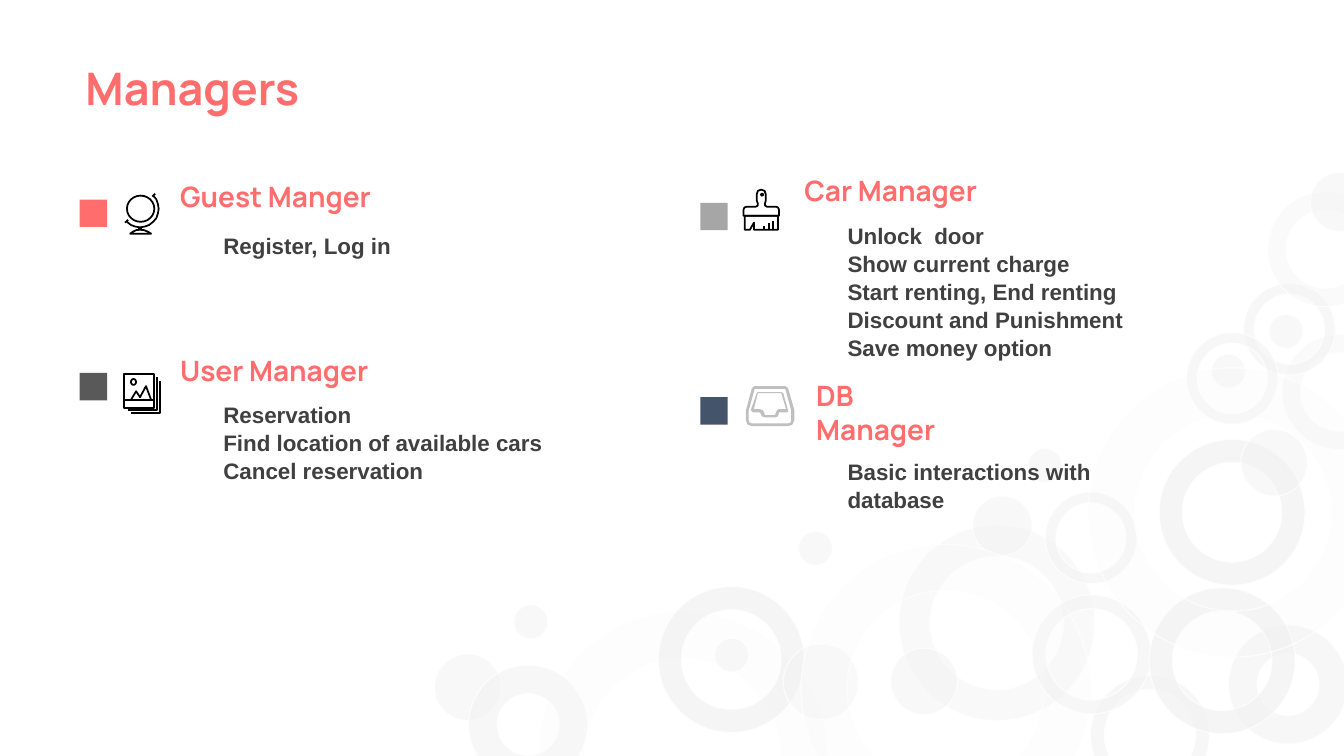
from dataclasses import dataclass
from math import cos, radians, sin

from lxml.etree import SubElement
from pptx import Presentation
from pptx.dml.color import RGBColor
from pptx.enum.shapes import MSO_CONNECTOR as Connector, MSO_SHAPE as Preset
from pptx.enum.text import MSO_ANCHOR as Anchor, MSO_AUTO_SIZE as AutoSize, PP_ALIGN as Align
from pptx.oxml.ns import qn
from pptx.util import Cm, Pt


@dataclass(frozen=True)
class Theme:
    coral: RGBColor = RGBColor.from_string("FF6D6D")
    slate: RGBColor = RGBColor.from_string("595959")
    silver: RGBColor = RGBColor.from_string("A6A6A6")
    navy: RGBColor = RGBColor.from_string("44546A")
    text: RGBColor = RGBColor.from_string("404040")
    tray: RGBColor = RGBColor.from_string("BFBFBF")
    bubble: RGBColor = RGBColor.from_string("F2F2F2")
    white: RGBColor = RGBColor.from_string("FFFFFF")
    ink: RGBColor = RGBColor.from_string("000000")
    title_size: Pt = Pt(32)
    heading_size: Pt = Pt(20)
    body_size: Pt = Pt(16)


theme = Theme()
title_font = {"name": "Manrope", "size": theme.title_size, "bold": True}
heading_font = {"name": "Manrope", "size": theme.heading_size, "bold": True}
body_font = {"name": "Arial", "size": theme.body_size, "bold": True}


def paint(shape, fill=None, line=None, width=1.25):
    shape.shadow.inherit = False
    if fill is None:
        shape.fill.background()
    else:
        shape.fill.solid()
        shape.fill.fore_color.rgb = fill
    if line is None:
        shape.line.fill.background()
    else:
        shape.line.color.rgb = line
        shape.line.width = Pt(width)


def write(frame, lines, font, color, spacing=1.0):
    for index, line in enumerate(lines):
        para = frame.paragraphs[0] if index == 0 else frame.add_paragraph()
        para.alignment = Align.LEFT
        para.line_spacing = spacing
        span = para.add_run()
        span.text = line
        for name, value in font.items():
            setattr(span.font, name, value)
        span.font.color.rgb = color


deck = Presentation()
deck.slide_width, deck.slide_height = Cm(33.87), Cm(19.05)
page = deck.slides.add_slide(deck.slide_layouts[5])
shapes = page.shapes

# Background bubbles: preset, diameter in cm, ring thickness, opacity in percent
bubble_kinds = {
    "ring": (Preset.DONUT, 3.68, 0.159, 75),
    "soft ring": (Preset.DONUT, 2.9, 0.159, 31),
    "halo": (Preset.DONUT, 7.29, 0.159, 13),
    "broad ring": (Preset.DONUT, 4.93, 0.159, 42),
    "thin ring": (Preset.DONUT, 3, 0.117, 54),
    "small ring": (Preset.DONUT, 2.31, 0.117, 54),
    "thick ring": (Preset.DONUT, 3, 0.24, 54),
    "tiny dot": (Preset.OVAL, 0.86, None, 47),
    "small dot": (Preset.OVAL, 1.5, None, 47),
    "dot": (Preset.OVAL, 1.68, None, 47),
    "large dot": (Preset.OVAL, 1.9, None, 39),
}
bubbles = [
    ("ring", 29.21, 11.07), ("soft ring", 32.31, 8.43), ("halo", 13.56, 15.42),
    ("thin ring", 27.48, 17.02), ("small ring", 31.34, 7.14), ("dot", 31.27, 10.82),
    ("tiny dot", 30.53, 8.92), ("broad ring", 22.66, 13.23), ("ring", 16.59, 14.78),
    ("large dot", 19.74, 16.23), ("small dot", 24.51, 12.5), ("halo", 20.19, 13.72),
    ("thin ring", 26.01, 14.99), ("small ring", 26.34, 12.4), ("thick ring", 30.96, 15.75),
    ("tiny dot", 20.12, 13.39), ("dot", 10.95, 16.48), ("tiny dot", 18.01, 16.08),
    ("tiny dot", 25.91, 11.3), ("ring", 28.96, 14.81), ("soft ring", 31.95, 4.83),
    ("small dot", 33.02, 4.34), ("halo", 27.43, 9.27), ("small ring", 29.9, 8.38),
    ("thick ring", 11.81, 16.76), ("tiny dot", 31.98, 7.92), ("dot", 22.45, 16.33),
    ("tiny dot", 12.95, 15.24),
]
for kind, left, top in bubbles:
    preset, size, thickness, opacity = bubble_kinds[kind]
    bubble = shapes.add_shape(preset, Cm(left), Cm(top), Cm(size), Cm(size))
    if thickness:
        bubble.adjustments[0] = thickness
    paint(bubble, theme.bubble, theme.white, 1)
    # The fill colour comes first, the line colour second
    for color, percent in zip(bubble.element.spPr.iter(qn("a:srgbClr")), (opacity, 70)):
        SubElement(color, qn("a:alpha"), val=str(percent * 1000))

title = shapes.title
title.left, title.top, title.width, title.height = Cm(1.9), Cm(1.4), Cm(5.92), Cm(1.9)
title_format = {"word_wrap": False, "auto_size": AutoSize.NONE, "vertical_anchor": Anchor.TOP}
for name, value in title_format.items():
    setattr(title.text_frame, name, value)
write(title.text_frame, ["Managers"], title_font, theme.coral)

# Managers: marker colour and place, heading and its box, duties and their box
managers = [
    (theme.coral, (2.01, 5.03), "Guest Manger", (4.29, 4.39, 5.44, 1.3),
     ["Register, Log in"], (5.38, 5.69, 6.25, 1.09)),
    (theme.slate, (2.01, 9.4), "User Manager", (4.29, 8.79, 7.34, 1.3),
     ["Reservation", "Find location of available cars", "Cancel reservation"],
     (5.38, 9.96, 10.41, 2.31)),
    (theme.silver, (17.65, 5.11), "Car Manager", (20.02, 4.24, 5.13, 1.3),
     ["Unlock  door", "Show current charge", "Start renting, End renting",
      "Discount and Punishment", "Save money option"], (21.11, 5.44, 8.94, 3.78)),
    (theme.navy, (17.65, 10.01), "DB Manager", (20.32, 9.42, 4.45, 1.12),
     ["Basic interactions with database"], (21.11, 11.4, 8.94, 0.94)),
]
for color, place, heading, heading_area, duties, duties_area in managers:
    marker = shapes.add_shape(Preset.RECTANGLE, *map(Cm, place), Cm(0.69), Cm(0.69))
    paint(marker, color)
    for lines, area, font, ink, spacing in (
        ([heading], heading_area, heading_font, theme.coral, 1.0),
        (duties, duties_area, body_font, theme.text, 1.04),
    ):
        box = shapes.add_textbox(*map(Cm, area))
        box.text_frame.word_wrap = True
        box.text_frame.auto_size = AutoSize.SHAPE_TO_FIT_TEXT
        write(box.text_frame, lines, font, ink, spacing)

# Icon outlines, in hundredths of a centimetre: contours, closed or not, fill
globe_arm = [(353 + 47 * cos(radians(a)), 526 + 47 * sin(radians(a))) for a in range(-45, 136, 15)]
globe_base = [(381, 589), (373, 584), (363, 580), (353, 579), (343, 580), (335, 584), (328, 589)]
back_sheet = [(404, 960), (404, 1041), (330, 1041)]
middle_sheet = [(396, 950), (396, 1034), (323, 1034)]
mountains = [(381, 1008), (368, 973), (353, 1001), (343, 986), (330, 1008)]
brush_handle = [
    (1933, 521), (1928, 518), (1928, 513), (1930, 505), (1930, 490), (1927, 481), (1918, 478),
    (1910, 481), (1907, 490), (1907, 505), (1910, 513), (1910, 518), (1905, 521), (1882, 521),
    (1876, 523), (1874, 528), (1874, 544), (1963, 544), (1963, 528), (1961, 523), (1956, 521)]
brush_bristles = [(1961, 579), (1900, 579), (1900, 561), (1890, 579), (1877, 579),
                  (1877, 544), (1961, 544)]
tray_outside = [
    (2002, 1034), (1986, 978), (1979, 973), (1902, 973), (1895, 978), (1880, 1034),
    (1880, 1059), (1884, 1070), (1895, 1074), (1986, 1074), (1997, 1070), (2002, 1059)]
tray_inside = [
    (1994, 1059), (1992, 1065), (1986, 1067), (1895, 1067), (1889, 1065), (1887, 1059),
    (1887, 1034), (1902, 980), (1979, 980), (1994, 1034)]
slot_outside = [
    (1969, 988), (1910, 988), (1907, 991), (1892, 1034), (1895, 1036), (1897, 1039),
    (1915, 1039), (1920, 1049), (1928, 1052), (1953, 1052), (1961, 1049), (1963, 1039),
    (1984, 1039), (1986, 1036), (1986, 1034), (1974, 991)]
slot_inside = [
    (1971, 1031), (1963, 1031), (1958, 1034), (1953, 1046), (1928, 1046), (1923, 1034),
    (1915, 1031), (1900, 1031), (1910, 991), (1969, 991), (1981, 1031)]
outlines = [
    ([globe_base], True, None), ([globe_arm], False, None),
    ([back_sheet], False, None), ([middle_sheet], False, None), ([mountains], False, None),
    ([brush_handle], True, None), ([brush_bristles], True, None),
    ([tray_outside, tray_inside], True, theme.tray),
    ([slot_outside, slot_inside], True, theme.tray),
]
for contours, closed, fill in outlines:
    builder = shapes.build_freeform(*contours[0][0], scale=Cm(0.01))
    for number, contour in enumerate(contours):
        if number:
            builder.move_to(*contour[0])
        builder.add_line_segments(contour[1:], close=closed)
    paint(builder.convert_to_shape(), fill, None if fill else theme.ink)

icon_parts = [
    (Preset.OVAL, 3.2, 4.93, 0.69, 0.66),  # globe
    (Preset.RECTANGLE, 3.12, 9.42, 0.76, 0.86),  # front sheet
    (Preset.OVAL, 3.3, 9.55, 0.13, 0.15),  # sun
    (Preset.OVAL, 19.18, 4.88, 0.05, 0.05),  # hole in the brush
]
for preset, *area in icon_parts:
    paint(shapes.add_shape(preset, *map(Cm, area)), line=theme.ink)

strokes = [
    (3.51, 5.72, 3.51, 5.79), (3.56, 5.72, 3.56, 5.79),  # globe stem
    (3.15, 5.61, 3.23, 5.54), (3.84, 4.95, 3.91, 4.88),  # globe axis
    (3.91, 10.08, 3.12, 10.08),  # horizon
    (19.48, 5.56, 19.48, 5.79), (19.38, 5.61, 19.38, 5.79), (19.25, 5.69, 19.25, 5.79),  # bristles
]
for ends in strokes:
    stroke = shapes.add_connector(Connector.STRAIGHT, *map(Cm, ends))
    stroke.line.color.rgb = theme.ink
    stroke.line.width = Pt(1.25)
    SubElement(stroke.element.spPr, qn("a:effectLst"))

deck.save("out.pptx")
